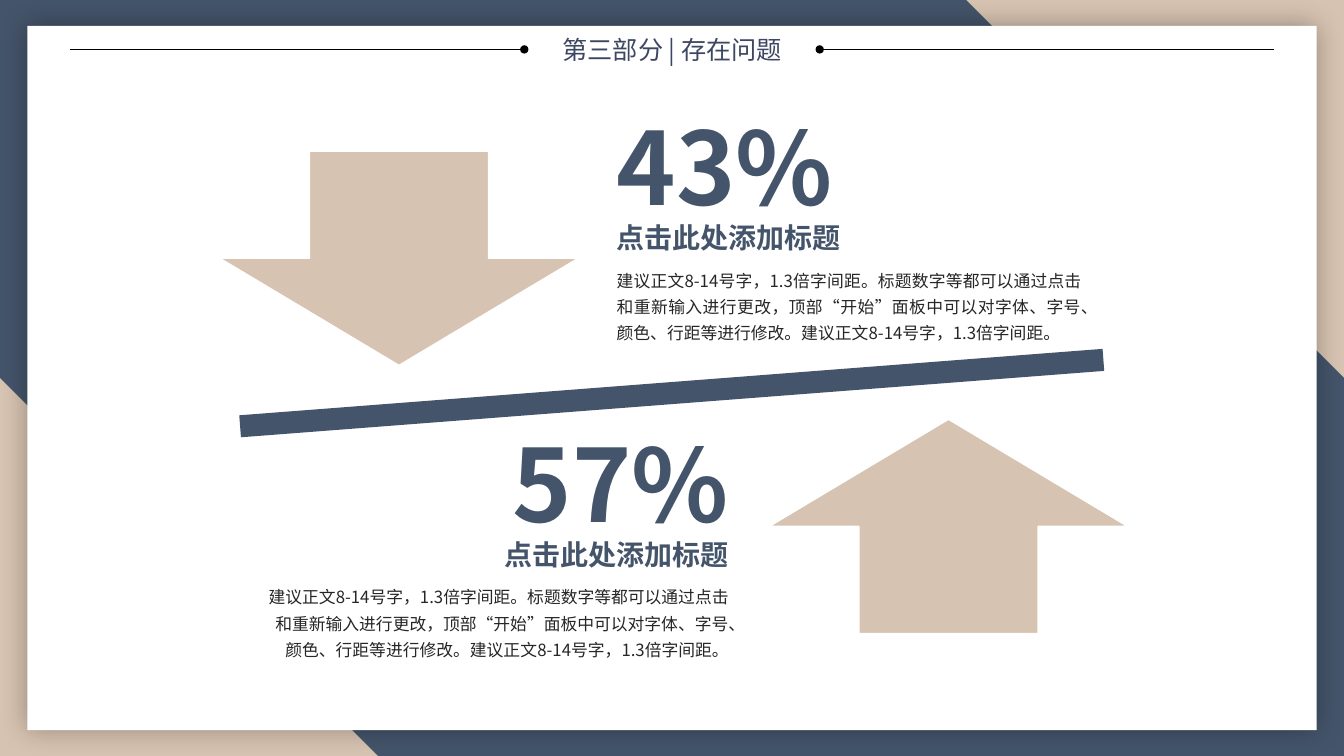
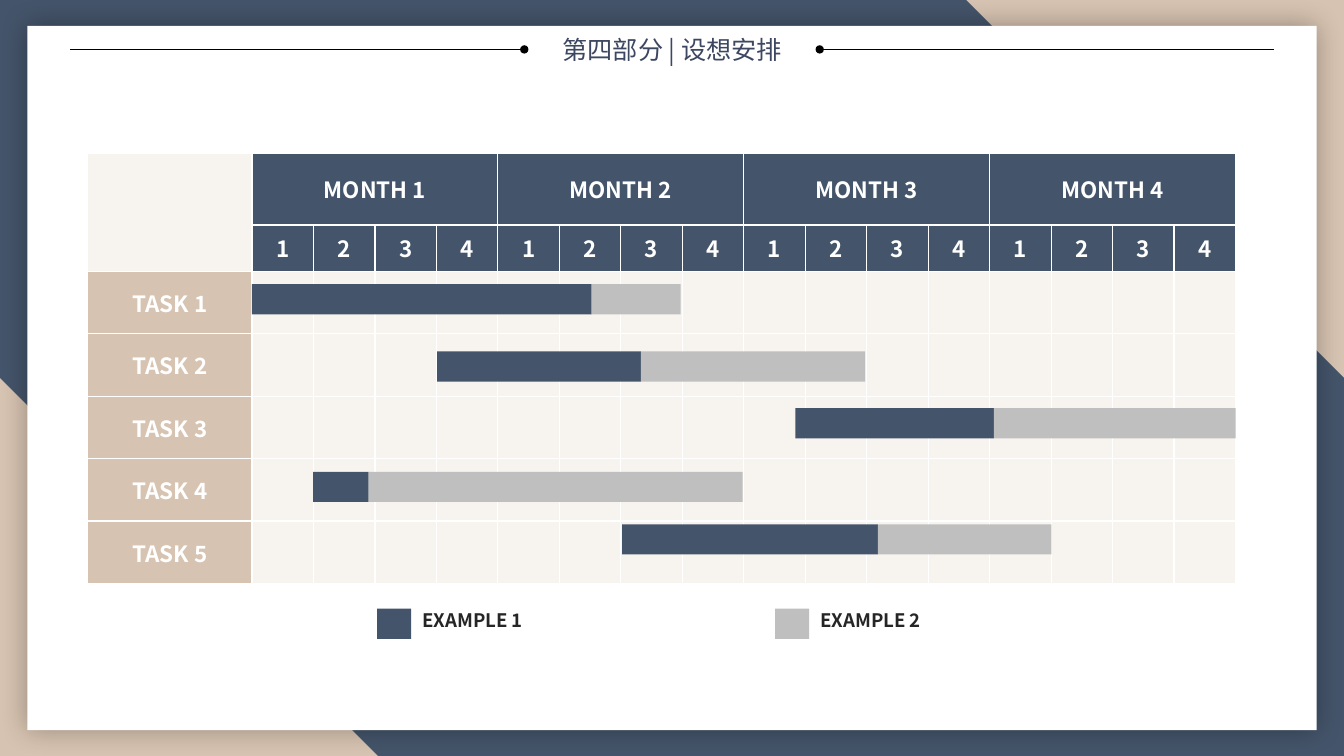
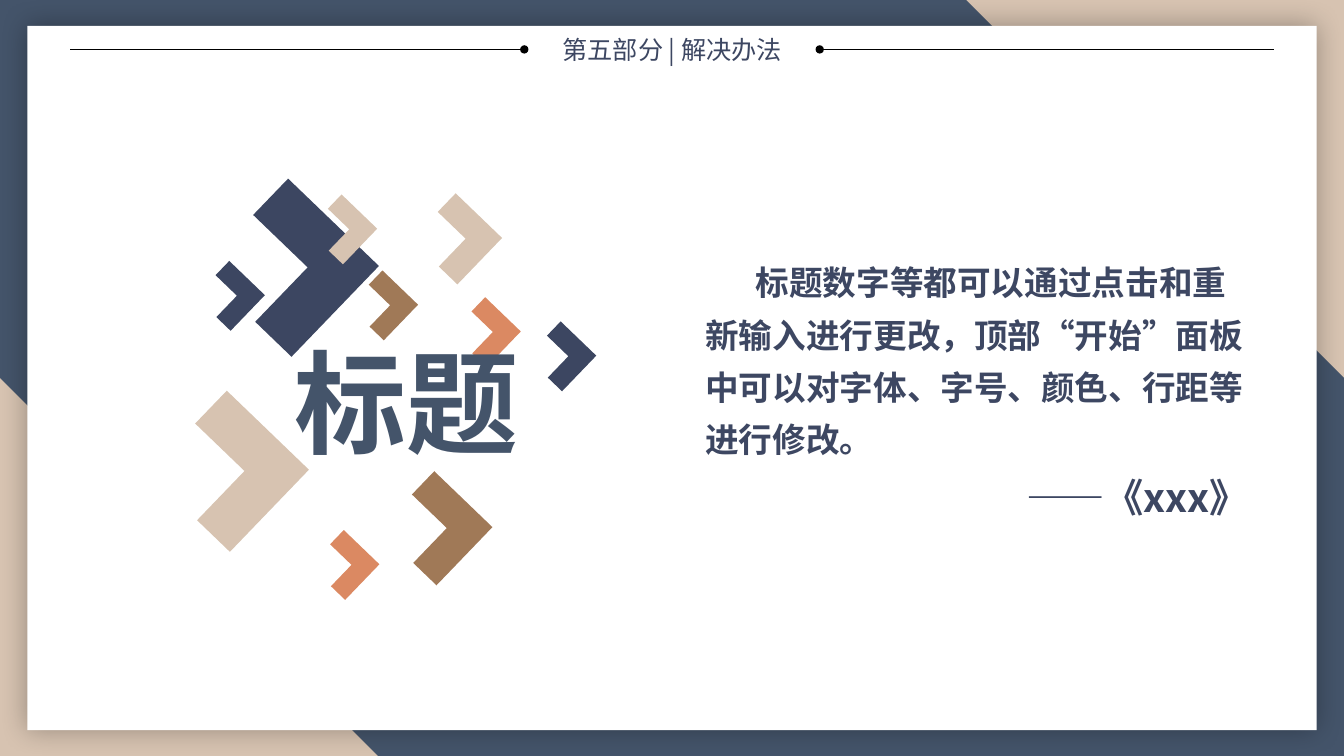
from dataclasses import dataclass

from lxml import etree
from pptx import Presentation
from pptx import util as u
from pptx.dml.color import RGBColor
from pptx.enum import shapes, text
from pptx.oxml import parse_xml
from pptx.oxml.ns import nsdecls, qn

Pt = u.Pt
Preset = shapes.MSO_SHAPE
Align = text.PP_ALIGN


@dataclass(frozen=True)
class Theme:
    font: str = "Noto Sans CJK SC"
    slate: str = "44546A"
    navy: str = "3D4762"
    indigo: str = "3C4661"
    sand: str = "D7C3B1"
    cream: str = "F7F3EF"
    brown: str = "A07957"
    coral: str = "DB8962"
    grey: str = "BFBFBF"
    ink: str = "262626"
    black: str = "000000"
    white: str = "FFFFFF"
    title: float = 18
    figure: float = 72
    heading: float = 20
    body: float = 12
    table: float = 16
    legend: float = 13.3
    hero: float = 80
    quote: float = 24
    credit: float = 28


theme = Theme()


def draw(slide, form, box, color, outline=None):
    if isinstance(form, list):
        left, top, width, height = box
        corners = [(Pt(left + x * width), Pt(top + y * height)) for x, y in form]
        builder = slide.shapes.build_freeform(*corners[0])
        builder.add_line_segments(corners[1:], close=True)
        shape = builder.convert_to_shape()
    else:
        shape = slide.shapes.add_shape(form, *map(Pt, box))
    shape.shadow.inherit = False
    shape.fill.solid()
    shape.fill.fore_color.rgb = RGBColor.from_string(color)
    if outline:
        shape.line.color.rgb = RGBColor.from_string(outline)
        shape.line.width = Pt(1)
    else:
        shape.line.fill.background()
    return shape


def write(paragraph, content, size, color, bold=False, **layout):
    for key, value in layout.items():
        setattr(paragraph, key, value)
    run = paragraph.add_run()
    run.text = content
    for key, value in dict(name=theme.font, size=Pt(size), bold=bold).items():
        setattr(run.font, key, value)
    run.font.color.rgb = RGBColor.from_string(color)
    etree.SubElement(run.font._element, qn("a:ea"), typeface=theme.font)


deck = Presentation()
deck.slide_width, deck.slide_height = Pt(960), Pt(540)
layout = deck.slide_layouts[5]
layout.background.fill.solid()
layout.background.fill.fore_color.rgb = RGBColor.from_string(theme.sand)
for holder in list(layout.placeholders):
    if holder.placeholder_format.idx:
        holder.element.getparent().remove(holder.element)
    else:
        holder.left, holder.top, holder.width, holder.height = map(Pt, (384.5, 20.5, 191.5, 29.5))

headings = ["第三部分 | 存在问题", "第四部分 | 设想安排", "第五部分 | 解决办法"]
slides = [deck.slides.add_slide(layout) for heading in headings]
problems, schedule, solution = slides
for slide, heading in zip(slides, headings):
    write(slide.shapes.title.text_frame.paragraphs[0], heading, theme.title, theme.navy,
          alignment=Align.CENTER)

band = draw(problems, Preset.SNIP_2_DIAG_RECTANGLE, (0, 0, 960, 540), theme.slate)
band.adjustments[0], band.adjustments[1] = 0, 0.5
page = draw(problems, Preset.RECTANGLE, (19.5, 18.5, 921, 503), theme.white)
page.element.spPr.find(qn("a:effectLst")).append(parse_xml(
    f'<a:outerShdw {nsdecls("a")} blurRad="{Pt(20)}" dist="0" dir="0" algn="ctr" rotWithShape="0">'
    f'<a:srgbClr val="{theme.black}"><a:alpha val="30000"/></a:srgbClr></a:outerShdw>'))
frame_parts = [band, page]
for inner, outer in [(374.5, 50), (585.5, 910)]:
    rule = problems.shapes.add_connector(
        shapes.MSO_CONNECTOR.STRAIGHT, Pt(inner), Pt(35.3), Pt(outer), Pt(35.3))
    rule.line.color.rgb = RGBColor.from_string(theme.black)
    rule.line.width = Pt(0.5)
    etree.SubElement(rule.line._get_or_add_ln(), qn("a:headEnd"), type="oval")
    etree.SubElement(rule.element.spPr, qn("a:effectLst"))
    frame_parts.append(rule)
for position, part in enumerate(frame_parts, 2):
    layout.shapes.element.insert(position, part.element)

draw(problems, Preset.DOWN_ARROW, (157, 108, 256, 153), theme.sand, theme.white)
draw(problems, Preset.UP_ARROW, (549.5, 299.5, 256, 153), theme.sand, theme.white)
draw(problems, Preset.RECTANGLE, (170.6, 272.9, 618.5, 15.8), theme.slate).rotation = 355.6

advice = ("建议正文8-14号字，1.3倍字间距。标题数字等都可以通过点击和重新输入进行更改，"
          "顶部“开始”面板中可以对字体、字号、颜色、行距等进行修改。建议正文8-14号字，1.3倍字间距。")
sides = [
    ("43%", 433.4, 71.3, Align.LEFT, Align.JUSTIFY),
    ("57%", 181.4, 297.4, Align.RIGHT, Align.RIGHT),
]
for figure, left, top, edge, body_edge in sides:
    rows = [
        (figure, 0, 172, 94.3, theme.figure, theme.slate, True, edge, 1.0),
        ("点击此处添加标题", 82.8, 176.4, 31.7, theme.heading, theme.slate, True, edge, 1.0),
        (advice, 114.1, 346.3, 64, theme.body, theme.ink, False, body_edge, 1.3),
    ]
    for content, drop, width, height, size, color, bold, align, spacing in rows:
        start = left + 346.3 - width if edge == Align.RIGHT else left
        frame = problems.shapes.add_textbox(*map(Pt, (start, top + drop, width, height))).text_frame
        frame.word_wrap = content == advice
        frame.auto_size = text.MSO_AUTO_SIZE.SHAPE_TO_FIT_TEXT
        write(frame.paragraphs[0], content, size, color, bold, alignment=align, line_spacing=spacing)

plan = schedule.shapes.add_table(7, 17, *map(Pt, (62.7, 109.6, 820, 304.5))).table
plan.first_row = plan.horz_banding = False
for index, column in enumerate(plan.columns):
    column.width = Pt(43.92 if index else 117.3)
for row, height in zip(plan.rows, [51.1, 30.3] + [44.64] * 5):
    row.height = Pt(height)
plan.cell(0, 0).merge(plan.cell(1, 0))
for month in range(4):
    plan.cell(0, 1 + 4 * month).merge(plan.cell(0, 4 + 4 * month))
for r in range(7):
    for c in range(17):
        cell = plan.cell(r, c)
        content, fill = "", theme.cream
        if c and r < 2:
            fill = theme.slate
            content = str((c - 1) % 4 + 1) if r else f"MONTH {c // 4 + 1}"
        elif r > 1 and not c:
            content, fill = f"TASK {r - 1}", theme.sand
        for edge in ("lnL", "lnR", "lnT", "lnB"):
            cell._tc.get_or_add_tcPr().append(parse_xml(
                f'<a:{edge} {nsdecls("a")} w="{Pt(1)}"><a:solidFill>'
                f'<a:srgbClr val="{theme.white}"/></a:solidFill></a:{edge}>'))
        cell.fill.solid()
        cell.fill.fore_color.rgb = RGBColor.from_string(fill)
        if content and not cell.is_spanned:
            cell.vertical_anchor = text.MSO_ANCHOR.MIDDLE
            cell.margin_left = cell.margin_right = Pt(9.4)
            cell.margin_top = cell.margin_bottom = Pt(5)
            write(cell.text_frame.paragraphs[0], content, theme.table, theme.white, True,
                  alignment=Align.CENTER)

for name, left, color in [("EXAMPLE 1", 269.3, theme.slate), ("EXAMPLE 2", 553.6, theme.grey)]:
    draw(schedule, Preset.RECTANGLE, (left, 434.8, 24.4, 21.6), color)
    frame = schedule.shapes.add_textbox(*map(Pt, (left + 25.2, 431.3, 111.6, 23.8))).text_frame
    frame.word_wrap = True
    write(frame.paragraphs[0], name, theme.legend, theme.ink, True)

bars = [
    (203, 180, 422.6, 486.2),
    (251, 312.3, 457.8, 618),
    (291.6, 568.2, 710, 882.7),
    (337, 223.7, 263.3, 530.4),
    (374.5, 444.4, 627.1, 751),
]
for top, start, split, end in bars:
    draw(schedule, Preset.RECTANGLE, (start, top, split - start, 21.6), theme.slate)
    draw(schedule, Preset.RECTANGLE, (split, top, end - split, 21.6), theme.grey)

elbow = [(0, 0), (0.4, 0), (0.4, 0.6), (1, 0.6), (1, 1), (0, 1)]
chevrons = [
    (303.1, 147.6, 46, theme.sand),
    (162, 146.2, 90, theme.indigo),
    (226.8, 146.2, 35.3, theme.sand),
    (146.6, 193.7, 35.3, theme.indigo),
    (256, 200.5, 35.3, theme.brown),
    (329.4, 219.6, 35.3, theme.coral),
    (383.3, 236.9, 35.3, theme.indigo),
    (122.4, 295.9, 81.4, theme.sand),
    (282.2, 348.5, 57.6, theme.brown),
    (228.4, 385.9, 35.3, theme.coral),
]
for left, top, side, color in chevrons:
    draw(solution, elbow, (left, top, side, side), color).rotation = 223.9

hero = solution.shapes.add_textbox(*map(Pt, (203, 234.7, 176.4, 104.4))).text_frame
hero.word_wrap = False
hero.auto_size = text.MSO_AUTO_SIZE.SHAPE_TO_FIT_TEXT
write(hero.paragraphs[0], "标题", theme.hero, theme.slate, True)

quote = solution.shapes.add_textbox(*map(Pt, (491, 175, 408.2, 202.3))).text_frame
quote.word_wrap = True
lines = [
    ("标题数字等都可以通过点击和重新输入进行更改，顶部“开始”面板中可以对字体、字号、颜色、行距等进行修改。",
     theme.quote, Align.LEFT),
    ("——《xxx》", theme.credit, Align.RIGHT),
]
quote.add_paragraph()
for paragraph, (content, size, align) in zip(quote.paragraphs, lines):
    indents = paragraph._p.get_or_add_pPr()
    indents.set("marL", str(Pt(5.8)))
    indents.set("indent", str(Pt(36)))
    write(paragraph, content, size, theme.navy, True, alignment=align, line_spacing=1.3)

deck.save("out.pptx")
